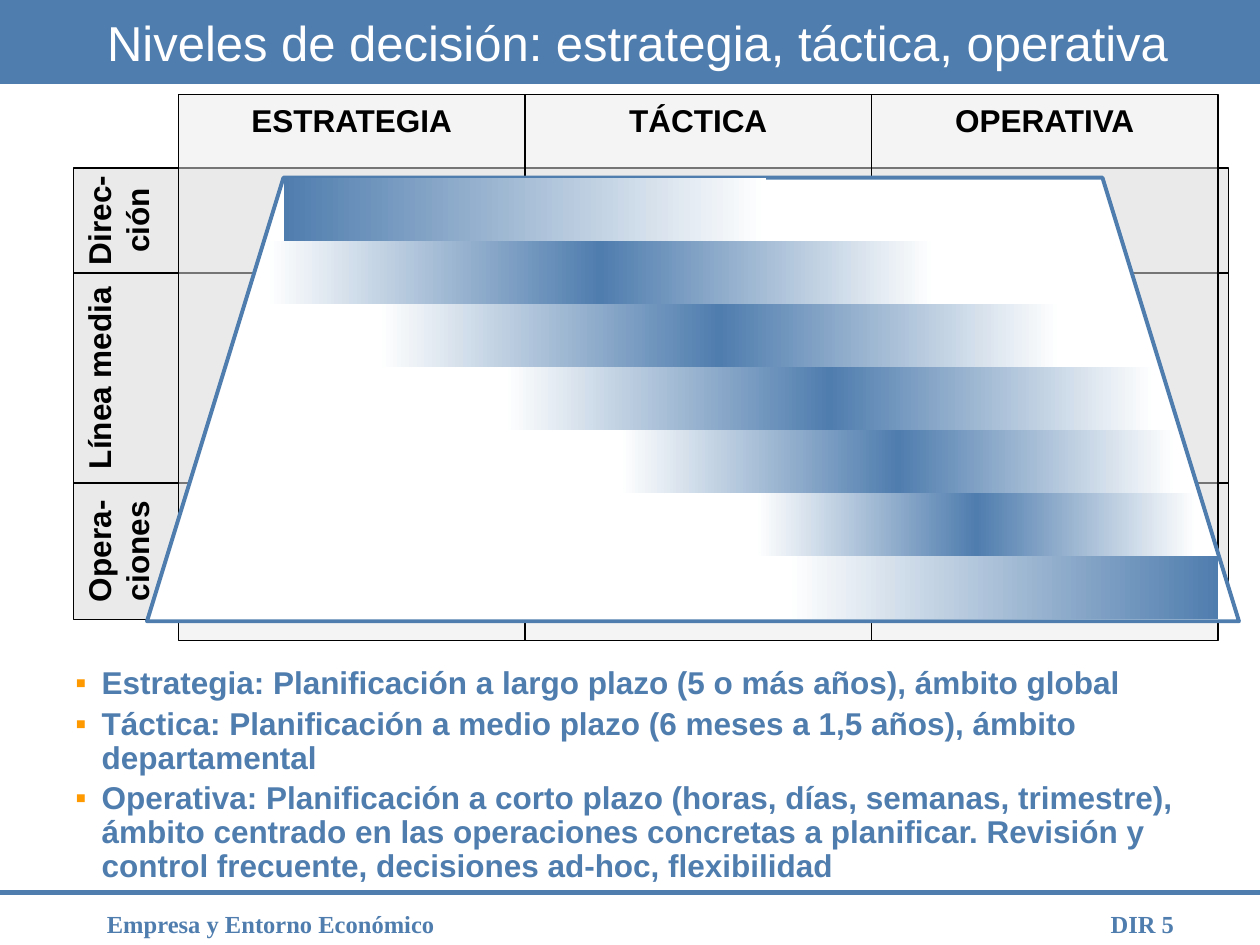
from dataclasses import dataclass

from lxml import etree
from pptx import Presentation
from pptx.dml.color import RGBColor
from pptx.enum.shapes import MSO_CONNECTOR, MSO_SHAPE
from pptx.enum.text import MSO_ANCHOR, MSO_AUTO_SIZE, PP_ALIGN
from pptx.oxml.ns import qn
from pptx.util import Pt

RECT = MSO_SHAPE.RECTANGLE
LEFT, CENTER, RIGHT = PP_ALIGN.LEFT, PP_ALIGN.CENTER, PP_ALIGN.RIGHT
TOP, MIDDLE = MSO_ANCHOR.TOP, MSO_ANCHOR.MIDDLE
TITLE_ONLY = 5


@dataclass(frozen=True)
class Theme:
    blue: str = "4F7DAE"
    white: str = "FFFFFF"
    black: str = "000000"
    grey: str = "EAEAEA"
    orange: str = "FF9900"
    sans: str = "Arial"
    serif: str = "Times New Roman"
    title_size: int = 28
    body_size: int = 18
    footer_size: int = 14


THEME = Theme()

LEVELS = [("Direc-\nción", 60), ("Línea media", 120), ("Opera-\nciones", 78)]
HORIZONS = ["ESTRATEGIA", "TÁCTICA", "OPERATIVA"]
FADE_OUT = (THEME.blue, THEME.white)
FADE_BOTH = (THEME.white, THEME.blue, THEME.white)
FADE_IN = (THEME.white, THEME.blue)
BANDS = [  # left, width, gradient colours
    (162, 276, FADE_OUT),
    (152, 382, FADE_BOTH),
    (216, 390, FADE_BOTH),
    (288, 372, FADE_BOTH),
    (354, 318, FADE_BOTH),
    (432, 252, FADE_BOTH),
    (450, 246, FADE_IN),
]
DEFINITIONS = [
    "Estrategia: Planificación a largo plazo (5 o más años), ámbito global",
    "Táctica: Planificación a medio plazo (6 meses a 1,5 años), ámbito departamental",
    "Operativa: Planificación a corto plazo (horas, días, semanas, trimestre), "
    "ámbito centrado en las operaciones concretas a planificar. Revisión y "
    "control frecuente, decisiones ad-hoc, flexibilidad",
]


def points(*values):
    return [Pt(value) for value in values]


def write(shape, text, size=THEME.body_size, font=THEME.sans, color=THEME.black,
          bold=True, align=LEFT, anchor=TOP, wrap=True):
    """Fill a shape with one paragraph for each line of text."""
    frame = shape.text_frame
    frame.word_wrap = wrap
    frame.auto_size = MSO_AUTO_SIZE.NONE
    frame.vertical_anchor = anchor
    frame.text = text
    for para in frame.paragraphs:
        para.alignment = align
        for span in para.runs:
            span.font.size = Pt(size)
            span.font.name = font
            span.font.bold = bold
            span.font.color.rgb = RGBColor.from_string(color)
    return frame


def paint(shape, fill, line=None, line_width=0.75):
    shape.shadow.inherit = False
    shape.fill.solid()
    shape.fill.fore_color.rgb = RGBColor.from_string(fill)
    if line:
        shape.line.color.rgb = RGBColor.from_string(line)
        shape.line.width = Pt(line_width)
    else:
        shape.line.fill.background()


def set_alpha(shape, percent):
    color = shape._element.spPr.find(qn("a:solidFill"))[0]
    etree.SubElement(color, qn("a:alpha"), val=str(percent * 1000))


def set_gradient(shape, colors):
    """Spread the colours evenly from left to right."""
    shape.fill.gradient()
    shape.fill.gradient_angle = 0
    stops = shape._element.spPr.find(qn("a:gradFill")).find(qn("a:gsLst"))
    for stop in list(stops):
        stops.remove(stop)
    for index, color in enumerate(colors):
        position = 100000 * index // (len(colors) - 1)
        stop = etree.SubElement(stops, qn("a:gs"), pos=str(position))
        etree.SubElement(stop, qn("a:srgbClr"), val=color)


def set_bullet(para, indent):
    props = para._p.get_or_add_pPr()
    props.set("marL", str(Pt(indent)))
    props.set("indent", str(-Pt(indent)))
    color = etree.SubElement(props, qn("a:buClr"))
    etree.SubElement(color, qn("a:srgbClr"), val=THEME.orange)
    etree.SubElement(props, qn("a:buFont"), typeface=THEME.sans)
    etree.SubElement(props, qn("a:buChar"), char="▪")


def add_header(page, left, top, width, height):
    bar = page.shapes.add_shape(RECT, *points(left, top, width, height))
    paint(bar, THEME.blue)
    title = page.shapes.title
    title.left, title.top, title.width, title.height = points(
        left + 54, top, width - 84, height)
    write(title, "Niveles de decisión: estrategia, táctica, operativa",
          size=THEME.title_size, color=THEME.white, bold=False, anchor=MIDDLE)
    bar._element.addnext(title._element)


def add_level_rows(page, left, top, width):
    """Rows whose labels read upwards: each is a tall box turned by 270 degrees."""
    for label, height in LEVELS:
        offset = (width - height) / 2
        row = page.shapes.add_shape(
            RECT, *points(left + offset, top - offset, height, width))
        row.rotation = 270
        paint(row, THEME.grey, THEME.black)
        write(row, label, align=CENTER, wrap=False)
        top += height


def add_horizon_columns(page, left, top, width, height):
    column_width = width / len(HORIZONS)
    for index, label in enumerate(HORIZONS):
        column = page.shapes.add_shape(
            RECT, *points(left + index * column_width, top, column_width, height))
        paint(column, THEME.grey, THEME.black)
        set_alpha(column, 50)
        write(column, label, align=CENTER, wrap=False)


def add_pyramid(page, left, top, width, height, slope):
    right, bottom = left + width, top + height
    builder = page.shapes.build_freeform(*points(left, bottom))
    corners = [(left + slope, top), (right - slope, top), (right, bottom)]
    builder.add_line_segments([points(*corner) for corner in corners], close=True)
    paint(builder.convert_to_shape(), THEME.white, THEME.blue, 2.25)


def add_bands(page, top, height):
    for index, (left, width, colors) in enumerate(BANDS):
        band = page.shapes.add_shape(
            RECT, *points(left, top + index * height, width, height))
        paint(band, THEME.white)
        set_gradient(band, colors)


def add_definitions(page, left, top, width, height):
    box = page.shapes.add_textbox(*points(left, top, width, height))
    frame = write(box, "\n".join(DEFINITIONS), color=THEME.blue)
    for para in frame.paragraphs:
        para.line_spacing = 0.9
        para.space_before = Pt(3.6)
        set_bullet(para, 15)


def add_footer(page, left, top, width):
    rule = page.shapes.add_connector(
        MSO_CONNECTOR.STRAIGHT, *points(left, top, left + width, top))
    rule.line.color.rgb = RGBColor.from_string(THEME.blue)
    rule.line.width = Pt(3)
    etree.SubElement(rule._element.spPr, qn("a:effectLst"))
    for text, offset, box_width, align in [
            ("Empresa y Entorno Económico", 54, 336, LEFT),
            ("DIR 5", 604, 74, RIGHT)]:
        box = page.shapes.add_textbox(*points(left + offset, top + 6, box_width, 18))
        write(box, text, size=THEME.footer_size, font=THEME.serif,
              color=THEME.blue, align=align)


def main():
    deck = Presentation()
    deck.slide_width, deck.slide_height = points(720, 540)
    page = deck.slides.add_slide(deck.slide_layouts[TITLE_ONLY])
    add_header(page, 0, 0, 720, 48)
    add_footer(page, 0, 510, 720)
    add_level_rows(page, 42, 96, 660)
    add_horizon_columns(page, 102, 54, 594, 312)
    add_pyramid(page, 84, 101.5, 624, 253.5, slope=78)
    add_bands(page, 102, 36)
    add_definitions(page, 36, 378, 666, 108)
    deck.save("out.pptx")


if __name__ == "__main__":
    main()
